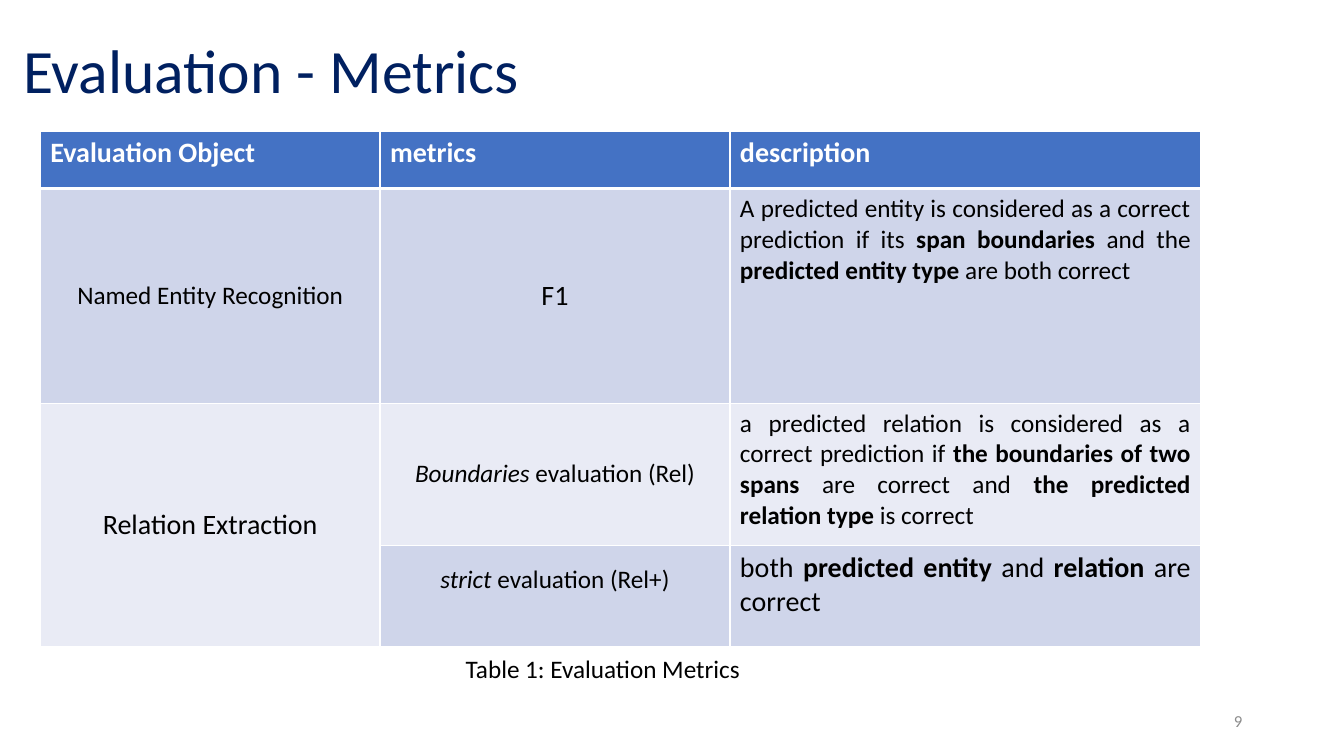
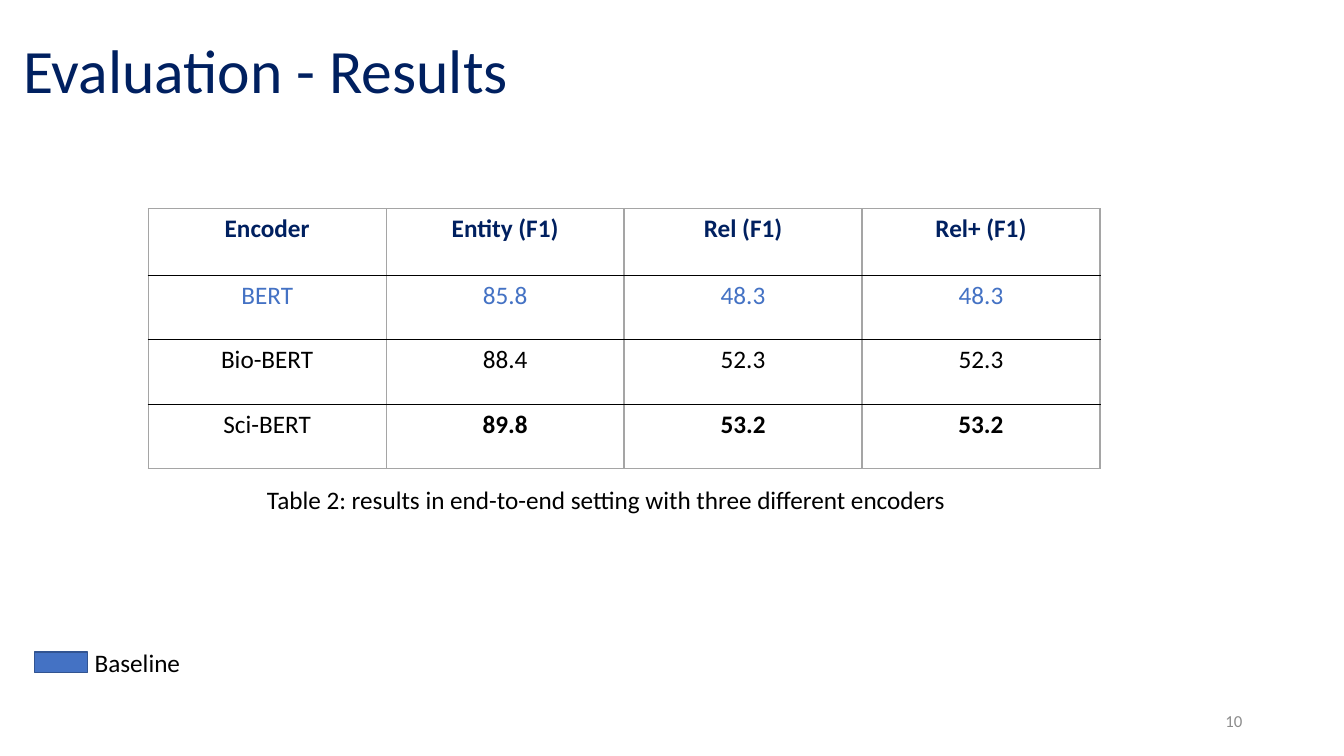
from dataclasses import dataclass, field
from typing import Any, NamedTuple

from lxml import etree
from pptx import Presentation
from pptx.dml.color import RGBColor
from pptx.enum import shapes, text
from pptx.oxml import ns
from pptx.util import Inches, Pt

FONT = "Calibri"
NAVY, BLUE, BLACK, WHITE = "002060", "4472C4", "000000", "FFFFFF"
GREY, PAGE_GREY, OUTLINE = "A5A5A5", "8C8C8C", "325491"
BAND_DARK, BAND_LIGHT = "CFD5EA", "E9EBF5"
LEFT, CENTER = text.PP_ALIGN.LEFT, text.PP_ALIGN.CENTER
RIGHT, JUSTIFY = text.PP_ALIGN.RIGHT, text.PP_ALIGN.JUSTIFY
TOP, MIDDLE = text.MSO_ANCHOR.TOP, text.MSO_ANCHOR.MIDDLE


class Box(NamedTuple):
    left: float
    top: float
    width: float
    height: float

    def lengths(self) -> list[int]:
        return [Inches(value) for value in self]


class Span(NamedTuple):
    text: str
    bold: bool = False
    italic: bool = False


class Edge(NamedTuple):
    color: str
    points: float = 1


class Borders(NamedTuple):
    left: Edge
    right: Edge
    top: Edge
    bottom: Edge


@dataclass
class Cell:
    spans: list[Span]
    size: float = 18
    color: str = BLACK
    align: Any = CENTER
    anchor: Any = TOP
    fill: str | None = None
    margins: dict[str, float] = field(default_factory=dict)


TITLE_BOX = Box(0, 0, 11.5, 1.45)
PAGE_BOX = Box(9.42, 6.95, 3, 0.4)


def colour(value: str) -> RGBColor:
    return RGBColor.from_string(value)


def set_values(target: Any, values: dict[str, Any]) -> None:
    for name, value in values.items():
        setattr(target, name, value)


def write(frame: Any, spans: list[Span], size: float, color: str, align: Any = LEFT) -> None:
    paragraph = frame.paragraphs[0]
    paragraph.alignment = align
    for span in spans:
        run = paragraph.add_run()
        run.text = span.text
        set_values(run.font, {"name": FONT, "size": Pt(size), "bold": span.bold, "italic": span.italic})
        run.font.color.rgb = colour(color)


def add_text(slide: Any, box: Box, words: str, size: float = 18, color: str = BLACK,
             align: Any = LEFT, anchor: Any = TOP) -> None:
    frame = slide.shapes.add_textbox(*box.lengths()).text_frame
    set_values(frame, {"word_wrap": True, "vertical_anchor": anchor})
    write(frame, [Span(words)], size, color, align)


def add_page(presentation: Any, title: str, number: int) -> Any:
    slide = presentation.slides.add_slide(presentation.slide_layouts[5])
    shape = slide.shapes.title
    set_values(shape, dict(zip(("left", "top", "width", "height"), TITLE_BOX.lengths())))
    frame = shape.text_frame
    set_values(frame, {"word_wrap": True, "auto_size": text.MSO_AUTO_SIZE.NONE,
                       "vertical_anchor": MIDDLE, "margin_left": Inches(0.23)})
    write(frame, [Span(title)], 44, NAVY)
    frame.paragraphs[0].line_spacing = 0.9
    add_text(slide, PAGE_BOX, str(number), 12, PAGE_GREY, RIGHT, MIDDLE)
    return slide


def draw_borders(cell: Any, borders: Borders) -> None:
    properties = cell._tc.get_or_add_tcPr()
    for index, (tag, edge) in enumerate(zip(("a:lnL", "a:lnR", "a:lnT", "a:lnB"), borders)):
        line = etree.Element(ns.qn(tag), w=str(Pt(edge.points)))
        fill = etree.SubElement(line, ns.qn("a:solidFill"))
        etree.SubElement(fill, ns.qn("a:srgbClr"), val=edge.color)
        properties.insert(index, line)


def add_table(slide: Any, left: float, top: float, widths: list[float], heights: list[float],
              rows: list[list[Cell | None]], borders: list[Borders]) -> Any:
    box = Box(left, top, sum(widths), sum(heights))
    table = slide.shapes.add_table(len(heights), len(widths), *box.lengths()).table
    set_values(table, {"first_row": False, "horz_banding": False})
    for column, width in zip(table.columns, widths):
        column.width = Inches(width)
    for row, height in zip(table.rows, heights):
        row.height = Inches(height)
    for row, contents, edges in zip(table.rows, rows, borders):
        for cell, content in zip(row.cells, contents):
            if content:
                set_values(cell, {"vertical_anchor": content.anchor})
                set_values(cell, {name: Inches(value) for name, value in content.margins.items()})
                write(cell.text_frame, content.spans, content.size, content.color, content.align)
            if content and content.fill:
                cell.fill.solid()
                cell.fill.fore_color.rgb = colour(content.fill)
            else:
                cell.fill.background()
            draw_borders(cell, edges)
    return table


def build_metrics(presentation: Any) -> None:
    slide = add_page(presentation, "Evaluation - Metrics", 9)
    headings = [Cell([Span(name, bold=True)], 20, WHITE, LEFT, fill=BLUE)
                for name in ("Evaluation Object", "metrics", "description")]
    entity = [
        Cell([Span("Named Entity Recognition")], anchor=MIDDLE, fill=BAND_DARK),
        Cell([Span("F1")], 20, anchor=MIDDLE, fill=BAND_DARK),
        Cell([Span("A predicted entity is considered as a correct prediction if its "),
              Span("span boundaries ", bold=True), Span("and the "),
              Span("predicted entity type ", bold=True), Span("are both correct")],
             align=JUSTIFY, fill=BAND_DARK),
    ]
    boundaries = [
        Cell([Span("Relation Extraction")], 20, anchor=MIDDLE, fill=BAND_LIGHT),
        Cell([Span("Boundaries ", italic=True), Span("evaluation (Rel)")],
             anchor=MIDDLE, fill=BAND_LIGHT),
        Cell([Span("a predicted relation is considered as a correct prediction if "),
              Span("the boundaries of two spans", bold=True), Span(" are correct and "),
              Span("the predicted relation type ", bold=True), Span("is correct")],
             align=JUSTIFY, fill=BAND_LIGHT),
    ]
    strict = [
        None,
        Cell([Span("strict ", italic=True), Span("evaluation (Rel+)")],
             anchor=MIDDLE, fill=BAND_DARK, margins={"margin_bottom": 0.37}),
        Cell([Span("both "), Span("predicted entity ", bold=True), Span("and "),
              Span("relation", bold=True), Span(" are correct")], 20, align=JUSTIFY, fill=BAND_DARK),
    ]
    thin, thick = Edge(WHITE), Edge(WHITE, 3)
    borders = [Borders(thin, thin, thin, thick), Borders(thin, thin, thick, thin),
               Borders(thin, thin, thin, thin), Borders(thin, thin, thin, thin)]
    table = add_table(slide, 0.4, 1.3, [3.37, 3.47, 4.67], [0.57, 2.13, 1.41, 1.01],
                      [headings, entity, boundaries, strict], borders)
    table.cell(2, 0).merge(table.cell(3, 0))
    add_text(slide, Box(4.52, 6.43, 8.41, 0.4), "Table 1: Evaluation Metrics")


def build_results(presentation: Any) -> None:
    slide = add_page(presentation, "Evaluation - Results", 10)
    headings = ["Encoder", "Entity (F1)", "Rel (F1)", "Rel+ (F1)"]
    scores = [
        (["BERT", "85.8", "48.3", "48.3"], BLUE, False),
        (["Bio-BERT", "88.4", "52.3", "52.3"], BLACK, False),
        (["Sci-BERT", "89.8", "53.2", "53.2"], BLACK, True),
    ]
    rows = [[Cell([Span(name, bold=True)], color=NAVY) for name in headings]]
    for values, color, best in scores:
        rows.append([Cell([Span(value, bold=best and column > 0)], color=color)
                     for column, value in enumerate(values)])
    grey, black = Edge(GREY), Edge(BLACK)
    rules = [grey, black, black, black, grey]
    borders = [Borders(grey, grey, above, below) for above, below in zip(rules, rules[1:])]
    add_table(slide, 1.47, 2.07, [2.36] * 4, [0.66] + [0.64] * 3, rows, borders)
    add_text(slide, Box(2.55, 4.76, 7.14, 0.4),
             "Table 2: results in end-to-end setting with three different encoders")

    swatch = slide.shapes.add_shape(shapes.MSO_SHAPE.RECTANGLE, *Box(0.34, 6.47, 0.53, 0.2).lengths())
    swatch.shadow.inherit = False
    swatch.fill.solid()
    swatch.fill.fore_color.rgb = colour(BLUE)
    swatch.line.color.rgb = colour(OUTLINE)
    swatch.line.width = Pt(1)
    add_text(slide, Box(0.84, 6.37, 3, 0.4), "Baseline")


def main() -> None:
    presentation = Presentation()
    set_values(presentation, {"slide_width": Inches(13.33), "slide_height": Inches(7.5)})
    build_metrics(presentation)
    build_results(presentation)
    presentation.save("out.pptx")


if __name__ == "__main__":
    main()
